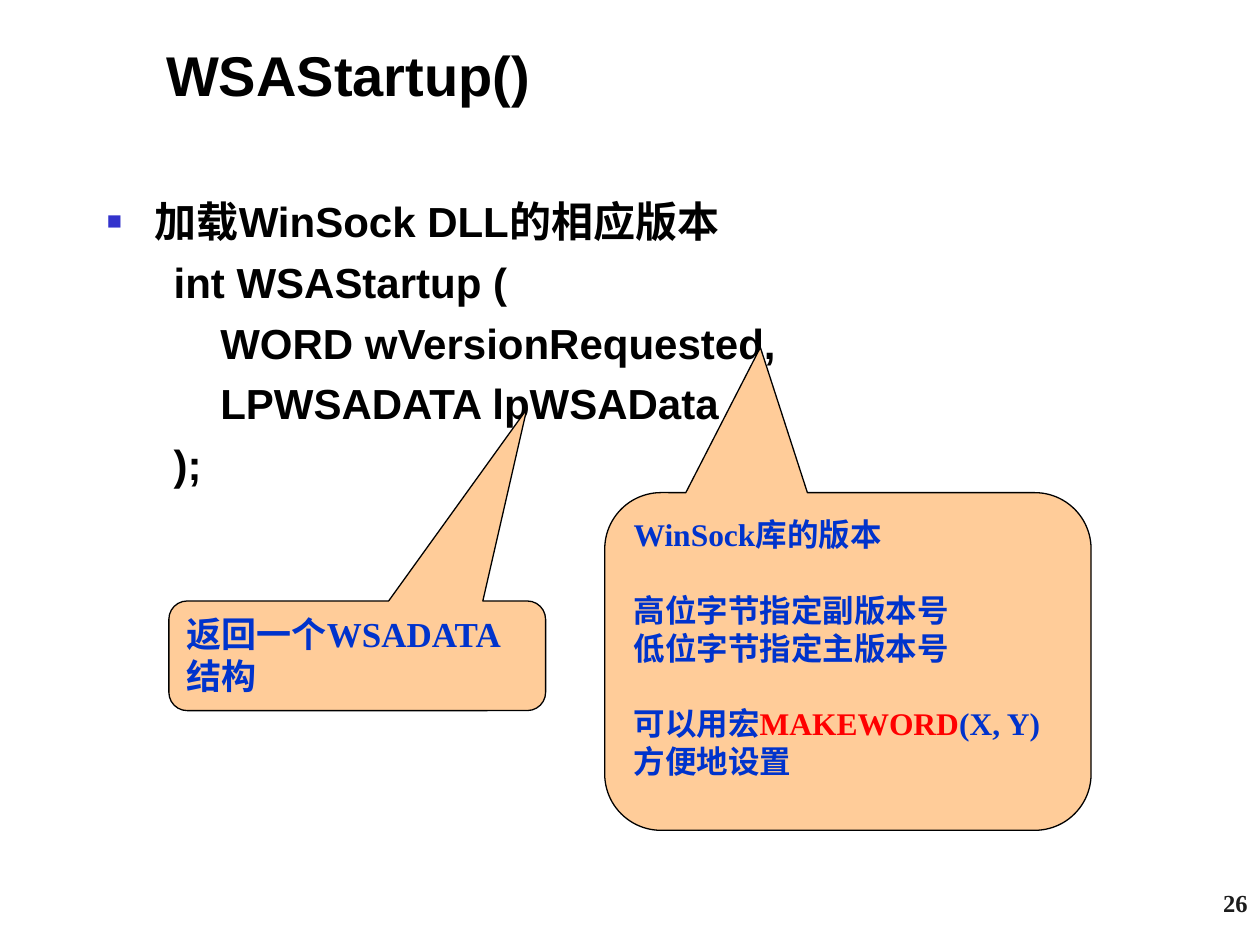
"""Build a slide that explains the WSAStartup() call."""
from lxml.etree import SubElement
from pptx import Presentation
from pptx.dml.color import RGBColor
from pptx.enum.shapes import MSO_SHAPE as Shape
from pptx.enum.text import MSO_ANCHOR as Anchor, PP_ALIGN as Align
from pptx.oxml.ns import qn
from pptx.util import Inches, Pt

BLUE = "0033CC"
SERIF = "Times New Roman"


def color(code):
    """Turn a hex string into a colour."""
    return RGBColor.from_string(code)


def write(frame, lines, size, font="Arial", ink="000000", align=Align.LEFT,
          anchor=Anchor.TOP, gaps=()):
    """Fill a frame with bold lines, each a list of (text, colour) or a string."""
    frame.word_wrap = True
    frame.vertical_anchor = anchor
    for i, line in enumerate(lines):
        para = frame.paragraphs[0] if i == 0 else frame.add_paragraph()
        para.alignment = align
        para.space_before = Pt(gaps[i] if gaps else 0)
        for text, tint in [(line, ink)] if isinstance(line, str) else line:
            run = para.add_run()
            run.text = text
            run.font.size = Pt(size)
            run.font.name = font
            run.font.bold = True
            run.font.color.rgb = color(tint)
    return frame


def label(slide, box, lines, size, **form):
    """Add a text box."""
    area = slide.shapes.add_textbox(*map(Inches, box))
    return write(area.text_frame, lines, size, **form)


def indent(para, left, first=0):
    """Set the left margin and first-line indent in inches."""
    props = para._p.get_or_add_pPr()
    props.set("marL", str(Inches(left)))
    props.set("indent", str(Inches(first)))
    return props


def bullet(para, left, code):
    """Give a paragraph a small square bullet."""
    props = indent(para, left, -left)
    tint = SubElement(props, qn("a:buClr"))
    SubElement(tint, qn("a:srgbClr"), val=code)
    SubElement(props, qn("a:buSzPct"), val="60000")
    SubElement(props, qn("a:buFont"), typeface="Arial")
    SubElement(props, qn("a:buChar"), char="■")


def callout(slide, box, tip, lines, size, gaps=()):
    """Add a rounded callout whose tip is relative to its centre."""
    shape = slide.shapes.add_shape(Shape.ROUNDED_RECTANGULAR_CALLOUT,
                                   *map(Inches, box))
    shape.shadow.inherit = False
    shape.adjustments[0], shape.adjustments[1] = tip
    shape.fill.solid()
    shape.fill.fore_color.rgb = color("FFCC99")
    shape.line.color.rgb = color("000000")
    shape.line.width = Pt(0.75)
    write(shape.text_frame, lines, size, font=SERIF, ink=BLUE, gaps=gaps)


def main():
    """Build and save the slide."""
    deck = Presentation()
    deck.slide_width, deck.slide_height = Inches(10), Inches(7.5)
    slide = deck.slides.add_slide(deck.slide_layouts[6])

    label(slide, (1.22, 0.17, 7.83, 0.83), ["WSAStartup()"], 32,
          anchor=Anchor.MIDDLE)
    code = ["加载WinSock DLL的相应版本", "int WSAStartup (",
            "WORD wVersionRequested,", "LPWSADATA lpWSAData", ");"]
    body = label(slide, (0.75, 1.5, 8.08, 5.04), code, 24, gaps=[6] * len(code))
    head, *rest = body.paragraphs
    bullet(head, 0.38, "3333CC")
    for para, left in zip(rest, (0.53, 0.9, 0.9, 0.53)):
        indent(para, left)

    version = ["WinSock库的版本", "高位字节指定副版本号", "低位字节指定主版本号",
               [("可以用宏", BLUE), ("MAKEWORD", "FF0000"),
                ("(X, Y) 方便地设置", BLUE)]]
    callout(slide, (4.8, 3.91, 3.86, 2.68), (-0.18, -0.93), version, 18,
            gaps=(0, 21.5, 0, 21.5))
    callout(slide, (1.34, 4.77, 2.99, 0.87), (0.45, -2.25),
            ["返回一个WSADATA结构"], 20)
    label(slide, (7.92, 7, 2.08, 0.5), ["26"], 14, font=SERIF, ink="1C1C1C",
          align=Align.RIGHT)
    deck.save("out.pptx")


if __name__ == "__main__":
    main()
